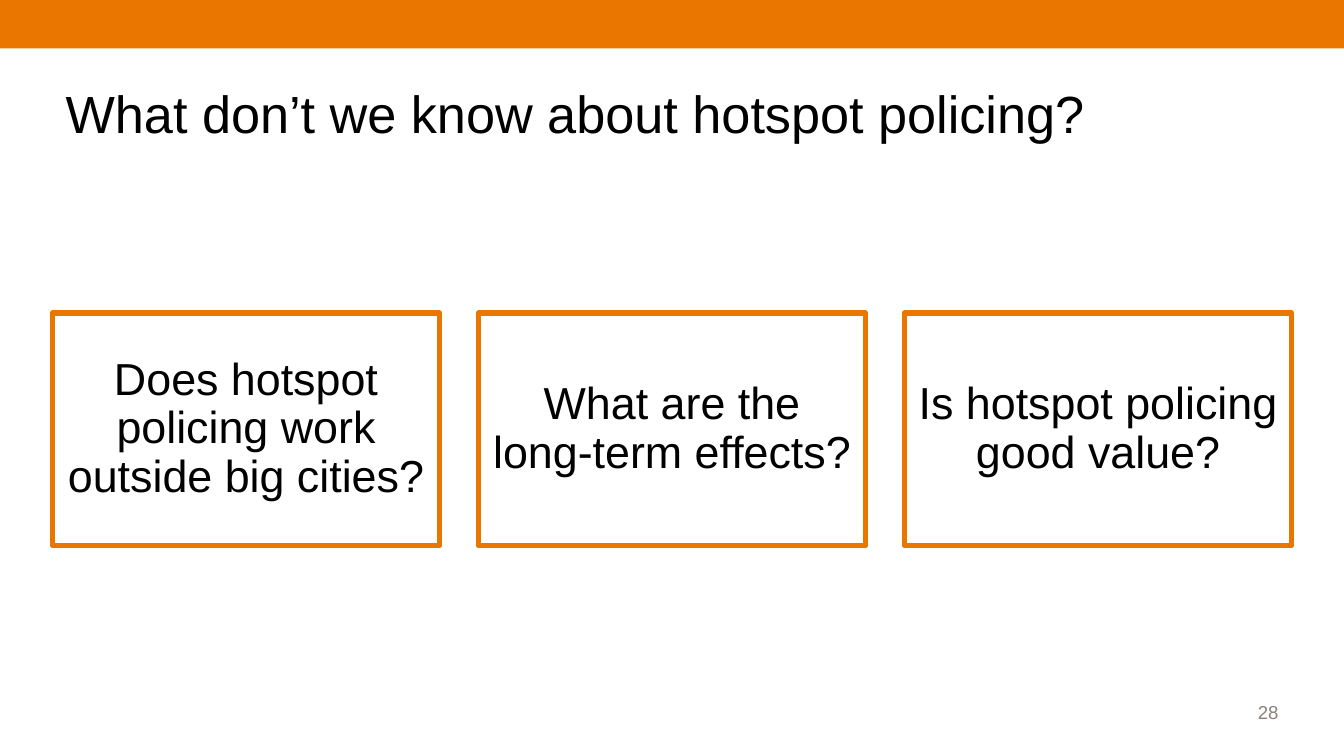
from lxml.etree import SubElement
from pptx import Presentation
from pptx.dml.color import RGBColor
from pptx.enum.shapes import MSO_SHAPE as Shape
from pptx.enum.text import MSO_ANCHOR as Anchor, PP_ALIGN as Align
from pptx.oxml.ns import qn
from pptx.util import Inches, Pt

ORANGE = "EA7600"
BLACK = "000000"
GREY = "8C8279"
QUESTIONS = [
    "Does hotspot policing work outside big cities?",
    "What are the long-term effects?",
    "Is hotspot policing good value?",
]


def color(value):
    return RGBColor.from_string(value)


def write(box, text, size, ink, anchor, margin, layout):
    frame = box.text_frame
    frame.word_wrap = True
    frame.vertical_anchor = anchor
    frame.margin_left = frame.margin_right = Inches(0.1)
    frame.margin_top = frame.margin_bottom = Inches(margin)
    para = frame.paragraphs[0]
    for name, value in layout.items():
        setattr(para, name, value)
    span = para.add_run()
    span.text = text
    for name, value in {"name": "Arial", "size": Pt(size)}.items():
        setattr(span.font, name, value)
    span.font.color.rgb = color(ink)


def add_text(page, place, *style):
    box = page.shapes.add_textbox(*map(Inches, place))
    write(box, *style)


def add_rectangle(page, place):
    box = page.shapes.add_shape(Shape.RECTANGLE, *map(Inches, place))
    box.shadow.inherit = False
    return box


def add_banner(page):
    banner = add_rectangle(page, (0, 0, 10, 0.36))
    banner.fill.solid()
    banner.fill.fore_color.rgb = color(ORANGE)
    banner.line.fill.background()


def add_card(page, left, question):
    card = add_rectangle(page, (left, 2.33, 2.88, 1.73))
    card.fill.background()
    card.line.color.rgb = color(ORANGE)
    card.line.width = Pt(3)
    SubElement(card.element.spPr.find(qn("a:ln")), qn("a:round"))
    layout = {"alignment": Align.CENTER, "line_spacing": 0.9}
    write(card, question, 24, BLACK, Anchor.MIDDLE, 0.1, layout)


def main():
    deck = Presentation()
    deck.slide_width = Inches(10)
    deck.slide_height = Inches(10 * 9 / 16)
    page = deck.slides.add_slide(deck.slide_layouts[6])
    add_banner(page)
    add_text(page, (8.82, 4.99, 0.79, 0.44), "28", 10, GREY,
             Anchor.BOTTOM, 0.05, {"alignment": Align.RIGHT})
    add_text(page, (0.39, 0.39, 9.21, 0.98),
             "What don’t we know about hotspot policing?", 28, BLACK,
             Anchor.MIDDLE, 0.05,
             {"alignment": Align.LEFT, "line_spacing": Pt(27)})
    for index, question in enumerate(QUESTIONS):
        add_card(page, 0.39 + 3.17 * index, question)
    deck.save("out.pptx")


if __name__ == "__main__":
    main()
